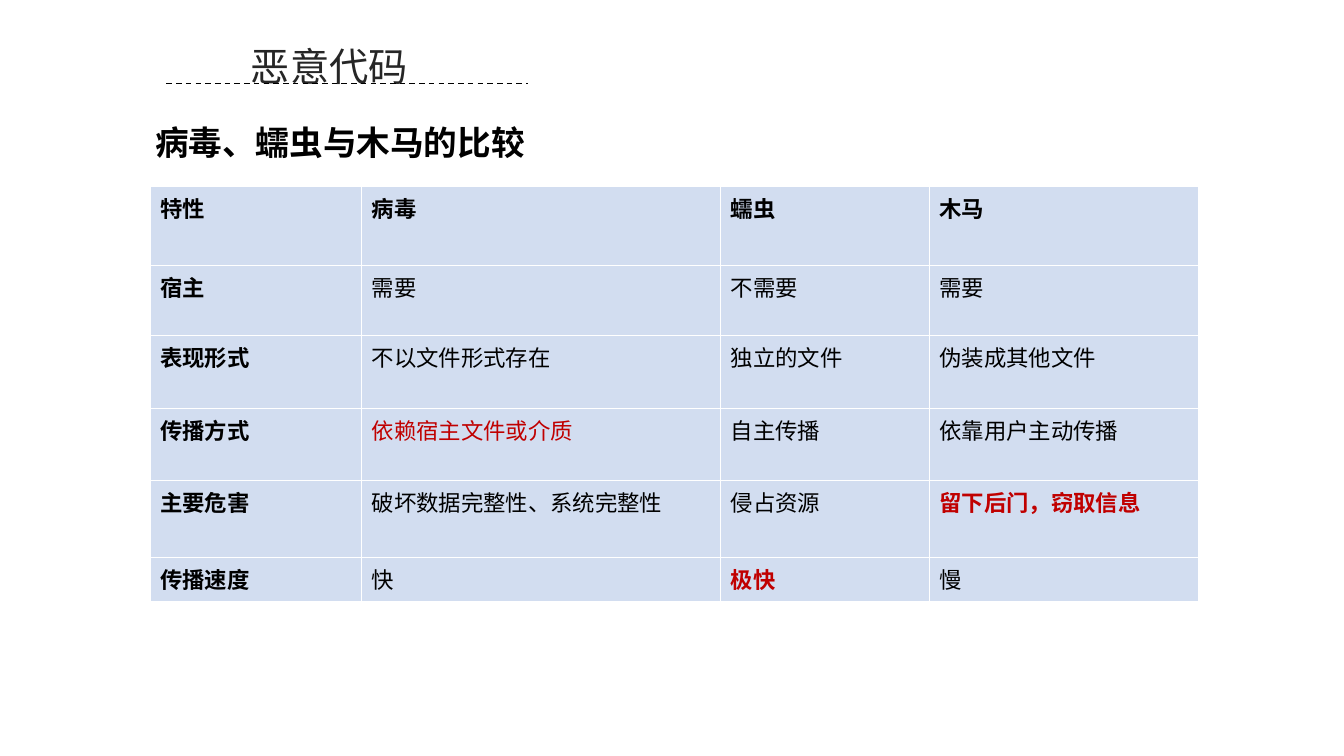
from dataclasses import dataclass

from lxml import etree
from pptx import Presentation, util as u
from pptx.dml.color import RGBColor
from pptx.enum import dml, shapes, text
from pptx.oxml import ns


@dataclass(frozen=True)
class Theme:
    heading_font: str = "Noto Sans CJK SC"
    body_font: str = "Calibri"
    title_size: int = 28
    subtitle_size: int = 24
    cell_size: int = 16
    title_color: str = "262626"
    ink: str = "000000"
    accent: str = "C00000"
    cell_fill: str = "4472C4"
    cell_opacity: int = 24
    border: str = "FFFFFF"


def add_child(parent, tag, **attributes):
    return etree.SubElement(parent, ns.qn(tag), attributes)


class SlideBuilder:
    """Places elements on a slide; lengths are percentages of its size."""

    def __init__(self, presentation, theme):
        self.theme = theme
        self.width = presentation.slide_width
        self.height = presentation.slide_height
        self.slide = presentation.slides.add_slide(presentation.slide_layouts[5])

    def x(self, share):
        return round(self.width * share / 100)

    def y(self, share):
        return round(self.height * share / 100)

    def add_run(self, paragraph, words, size, font, color, bold=False):
        run = paragraph.add_run()
        run.text = words
        run.font.size = u.Pt(size)
        run.font.name = font
        run.font.bold = bold
        run.font.color.rgb = RGBColor.from_string(color)
        add_child(run.font._element, "a:ea", typeface=self.theme.heading_font)

    def title(self, words, left, top, width, height):
        shape = self.slide.shapes.title
        shape.left, shape.top = self.x(left), self.y(top)
        shape.width, shape.height = self.x(width), self.y(height)
        frame = shape.text_frame
        frame.word_wrap = True
        frame.auto_size = text.MSO_AUTO_SIZE.NONE
        frame.vertical_anchor = text.MSO_ANCHOR.TOP
        paragraph = frame.paragraphs[0]
        paragraph.alignment = text.PP_ALIGN.CENTER
        paragraph.line_spacing = 1.2
        self.add_run(paragraph, words, self.theme.title_size,
                     self.theme.heading_font, self.theme.title_color)

    def subtitle(self, words, left, top, width, height):
        shape = self.slide.shapes.add_textbox(
            self.x(left), self.y(top), self.x(width), self.y(height))
        frame = shape.text_frame
        frame.word_wrap = True
        frame.margin_top = u.Inches(0.03)
        self.add_run(frame.paragraphs[0], words, self.theme.subtitle_size,
                     self.theme.heading_font, self.theme.ink, bold=True)

    def dashed_rule(self, left, right, top):
        line = self.slide.shapes.add_connector(
            shapes.MSO_CONNECTOR.STRAIGHT,
            self.x(left), self.y(top), self.x(right), self.y(top))
        line.line.color.rgb = RGBColor.from_string(self.theme.ink)
        line.line.width = u.Pt(1)
        line.line.dash_style = dml.MSO_LINE.DASH
        add_child(line._element.spPr, "a:effectLst")

    def table(self, rows, highlights, left, top, column_widths, row_heights):
        table = self.slide.shapes.add_table(
            len(rows), len(column_widths), self.x(left), self.y(top),
            self.x(sum(column_widths)), self.y(sum(row_heights))).table
        table.first_row = table.horz_banding = False
        for column, width in zip(table.columns, column_widths):
            column.width = self.x(width)
        for row, height in zip(table.rows, row_heights):
            row.height = self.y(height)
        for i, row in enumerate(rows):
            for j, words in enumerate(row):
                color = self.theme.accent if words in highlights else self.theme.ink
                bold = i == 0 or j == 0 or highlights.get(words, False)
                self.cell(table.cell(i, j), words, color, bold)

    def cell(self, cell, words, color, bold):
        paragraph = cell.text_frame.paragraphs[0]
        paragraph.alignment = text.PP_ALIGN.JUSTIFY
        self.add_run(paragraph, words, self.theme.cell_size,
                     self.theme.body_font, color, bold)
        # Borders come before the fill in the cell properties
        properties = cell._tc.get_or_add_tcPr()
        for side in ("a:lnL", "a:lnR", "a:lnT", "a:lnB"):
            border = add_child(properties, side, w=str(u.Pt(1)))
            add_child(add_child(border, "a:solidFill"), "a:srgbClr",
                      val=self.theme.border)
        fill = add_child(properties, "a:solidFill")
        tint = add_child(fill, "a:srgbClr", val=self.theme.cell_fill)
        add_child(tint, "a:alpha", val=str(self.theme.cell_opacity * 1000))


COMPARISON = [
    ("特性", "病毒", "蠕虫", "木马"),
    ("宿主", "需要", "不需要", "需要"),
    ("表现形式", "不以文件形式存在", "独立的文件", "伪装成其他文件"),
    ("传播方式", "依赖宿主文件或介质", "自主传播", "依靠用户主动传播"),
    ("主要危害", "破坏数据完整性、系统完整性", "侵占资源", "留下后门，窃取信息"),
    ("传播速度", "快", "极快", "慢"),
]
# Highlighted wording, and whether it is bold
HIGHLIGHTS = {"依赖宿主文件或介质": False, "留下后门，窃取信息": True, "极快": True}


def main():
    presentation = Presentation()
    presentation.slide_width = u.Inches(13.33)
    presentation.slide_height = u.Inches(7.5)
    builder = SlideBuilder(presentation, Theme())

    # Heading with its dashed rule
    builder.title("恶意代码", 9.68, 3.73, 29.63, 8.27)
    builder.dashed_rule(12.38, 39.31, 11.07)

    # Comparison table
    builder.table(COMPARISON, HIGHLIGHTS, 11.18, 24.67,
                  column_widths=(15.75, 26.71, 15.53, 20.03),
                  row_heights=(10.4, 9.33, 9.6, 9.6, 10.13, 5.87))

    # Table caption
    builder.subtitle("病毒、蠕虫与木马的比较", 10.8, 15.73, 76.14, 10.8)

    presentation.save("out.pptx")


if __name__ == "__main__":
    main()
